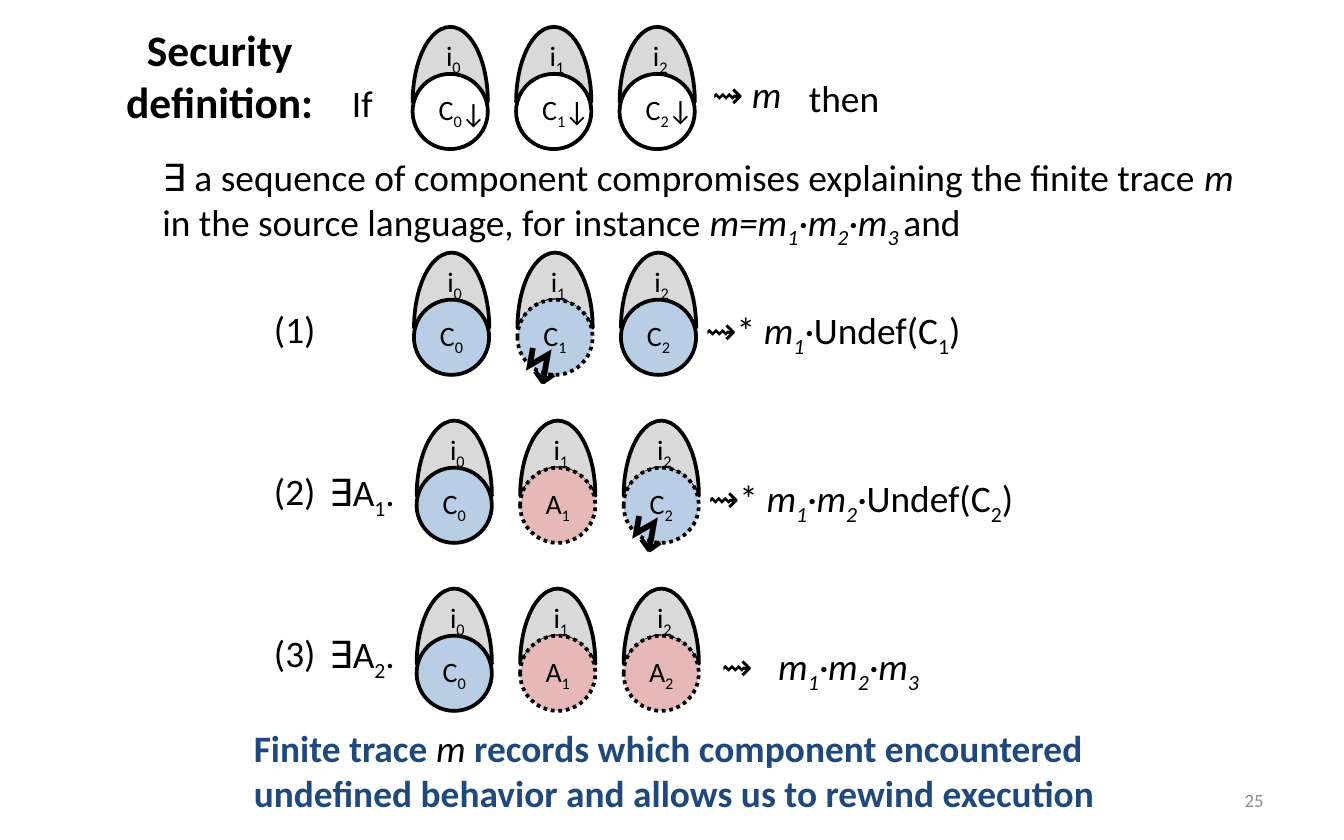
from pptx import Presentation
from pptx.dml.color import RGBColor
from pptx.enum.dml import MSO_LINE
from pptx.enum.shapes import MSO_SHAPE as Shape
from pptx.enum.text import MSO_ANCHOR as Anchor, MSO_AUTO_SIZE as Auto, PP_ALIGN as Align
from pptx.util import Inches, Pt

HUE = {"ink": "000000", "paper": "FFFFFF", "gray": "D9D9D9", "blue": "B9CDE5",
       "red": "E6B9B8", "navy": "1F497D", "dim": "8C8C8C"}
SIZE = 0.56   # diameter of a component
STEP = 0.77   # from one component to the next
DROP = 0.35   # from the top of an interface to its component


def rgb(name):
    return RGBColor.from_string(HUE[name])


def write(frame, *lines, size=20, hue="ink", bold=False, align=Align.LEFT,
          anchor=Anchor.TOP, wrap=False, pad=None, auto=Auto.NONE):
    """Each line is a list of (text, marks): i italic, s subscript, p plain black, n new line."""
    frame.word_wrap, frame.auto_size, frame.vertical_anchor = wrap, auto, anchor
    if pad is not None:
        frame.margin_left = frame.margin_right = Inches(pad)
        frame.margin_top = frame.margin_bottom = Inches(pad)
    for n, line in enumerate(lines):
        para = frame.add_paragraph() if n else frame.paragraphs[0]
        para.alignment = align
        for text, marks in line:
            if "n" in marks:
                para.add_line_break()
            run = para.add_run()
            run.text = text
            font = run.font
            font.name, font.size = "Calibri", Pt(size)
            font.bold = bold and "p" not in marks
            font.italic = "i" in marks
            font.color.rgb = rgb("ink" if "p" in marks else hue)
            if "s" in marks:
                run._r.get_or_add_rPr().set("baseline", "-25000")


def label(shapes, box, *lines, auto=Auto.SHAPE_TO_FIT_TEXT, **style):
    text = shapes.add_textbox(*map(Inches, box))
    write(text.text_frame, *lines, auto=auto, **style)


def disc(shapes, kind, x, y, hue, dots=False):
    shape = shapes.add_shape(kind, *map(Inches, (x, y, SIZE, SIZE)))
    shape.shadow.inherit = False
    shape.fill.solid()
    shape.fill.fore_color.rgb = rgb(hue)
    shape.line.color.rgb = rgb("ink")
    shape.line.width = Pt(2)
    if dots:
        shape.line.dash_style = MSO_LINE.ROUND_DOT
    return shape


def parts(slide, x, y, names, hues, dots=""):
    """Three interfaces, each with its component below; dots lists the dotted ones."""
    shapes = slide.shapes.add_group_shape().shapes
    for n in range(3):
        left = x + n * STEP
        moon = disc(shapes, Shape.MOON, left, y, "gray")
        moon.rotation = 90
        moon.adjustments[0] = 0.632
        label(shapes, (left + 0.15, y + 0.04, 0.32, 0.35),
              [("i", ""), (str(n), "s")], size=15)
    for n, (name, hue) in enumerate(zip(names, hues)):
        ball = disc(shapes, Shape.OVAL, x + n * STEP, y + DROP, hue, str(n) in dots)
        write(ball.text_frame, [(name, ""), (str(n), "s")], size=15,
              align=Align.CENTER, anchor=Anchor.MIDDLE, pad=0)


def trace(count):
    """Runs for the product of the first pieces of m."""
    runs = []
    for n in range(1, count + 1):
        runs += [("·m" if n > 1 else "m", "i"), (str(n), "is")]
    return runs


def undef(n):
    return [("⇝* ", "")] + trace(n) + [("·", "i"), ("Undef(C", ""), (str(n), "s"), (")", "")]


def head(slide, x, y):
    title = slide.shapes.title
    title.left, title.top, title.width, title.height = map(Inches, (0.71, -0.03, 1.85, 1.18))
    write(title.text_frame, [("Security", ""), ("definition:", "n")], size=23.3,
          bold=True, align=Align.CENTER, anchor=Anchor.MIDDLE, wrap=True)
    parts(slide, x, y, "CCC", ["paper"] * 3)
    for n in range(3):
        label(slide.shapes, (x + 0.26 + n * STEP, y + 0.46 - n * 0.01, 0.39, 0.35),
              [("↓", "")], size=15)
    label(slide.shapes, (2.52, y + 0.35, 0.36, 0.44), [("If", "")])
    label(slide.shapes, (5.2, y + 0.28, 0.76, 0.44), [("⇝ ", ""), ("m", "i")])
    label(slide.shapes, (5.92, y + 0.31, 0.73, 0.44), [("then", "")])


def claim(slide, box):
    label(slide.shapes, box, [
        ("∃ a sequence of component compromises explaining the finite trace ", ""),
        ("m", "i"), ("in the source language, for instance ", "n"), ("m=", "i"),
        *trace(3), (" ", "is"), ("and", "")])


def step(slide, x, y, n, names, hues, dots, result, bolt=None):
    """One numbered step; result is (left, width, runs), bolt the part that fails."""
    side = 2.23 + (n - 1) * 1.205
    label(slide.shapes, (1.94, side, 0.52, 0.44), [(f"({n})", "")])
    if n > 1:
        label(slide.shapes, (2.35, side + 0.01, 0.69, 0.44),
              [("∃A", ""), (str(n - 1), "s"), (".", "")])
    parts(slide, x, y, names, hues, dots)
    left, width, runs = result
    label(slide.shapes, (left, y + 0.36, width, 0.44), runs)
    if bolt:
        label(slide.shapes, (x + bolt * STEP - 0.08, y + 0.56, 0.41, 0.55),
              [("↯", "")], size=26.7, bold=True)


def foot(slide, box):
    label(slide.shapes, box,
          [("Finite trace ", ""), ("m", "ip"),
           (" records which component encountered", "")],
          [("undefined behavior and allows us to rewind execution", "")],
          hue="navy", bold=True)
    label(slide.shapes, (7.17, 5.79, 2.33, 0.33), [("25", "")], size=10, hue="dim",
          align=Align.RIGHT, anchor=Anchor.MIDDLE, wrap=True, auto=Auto.NONE)


def main():
    deck = Presentation()
    deck.slide_width, deck.slide_height = Inches(10), Inches(6.25)
    slide = deck.slides.add_slide(deck.slide_layouts[5])
    head(slide, 3.07, 0.2)
    claim(slide, (1.11, 1.1, 8.33, 0.77))
    step(slide, 3.08, 1.88, 1, "CCC", ["blue"] * 3, "1", (5.15, 2.18, undef(1)), bolt=1)
    step(slide, 3.1, 3.13, 2, "CAC", ["blue", "red", "blue"], "12",
         (5.17, 2.57, undef(2)), bolt=2)
    step(slide, 3.1, 4.38, 3, "CAA", ["blue", "red", "red"], "12",
         (5.27, 1.76, [("⇝   ", "")] + trace(3)))
    foot(slide, (1.79, 5.35, 6.51, 0.77))
    deck.save("out.pptx")


if __name__ == "__main__":
    main()
